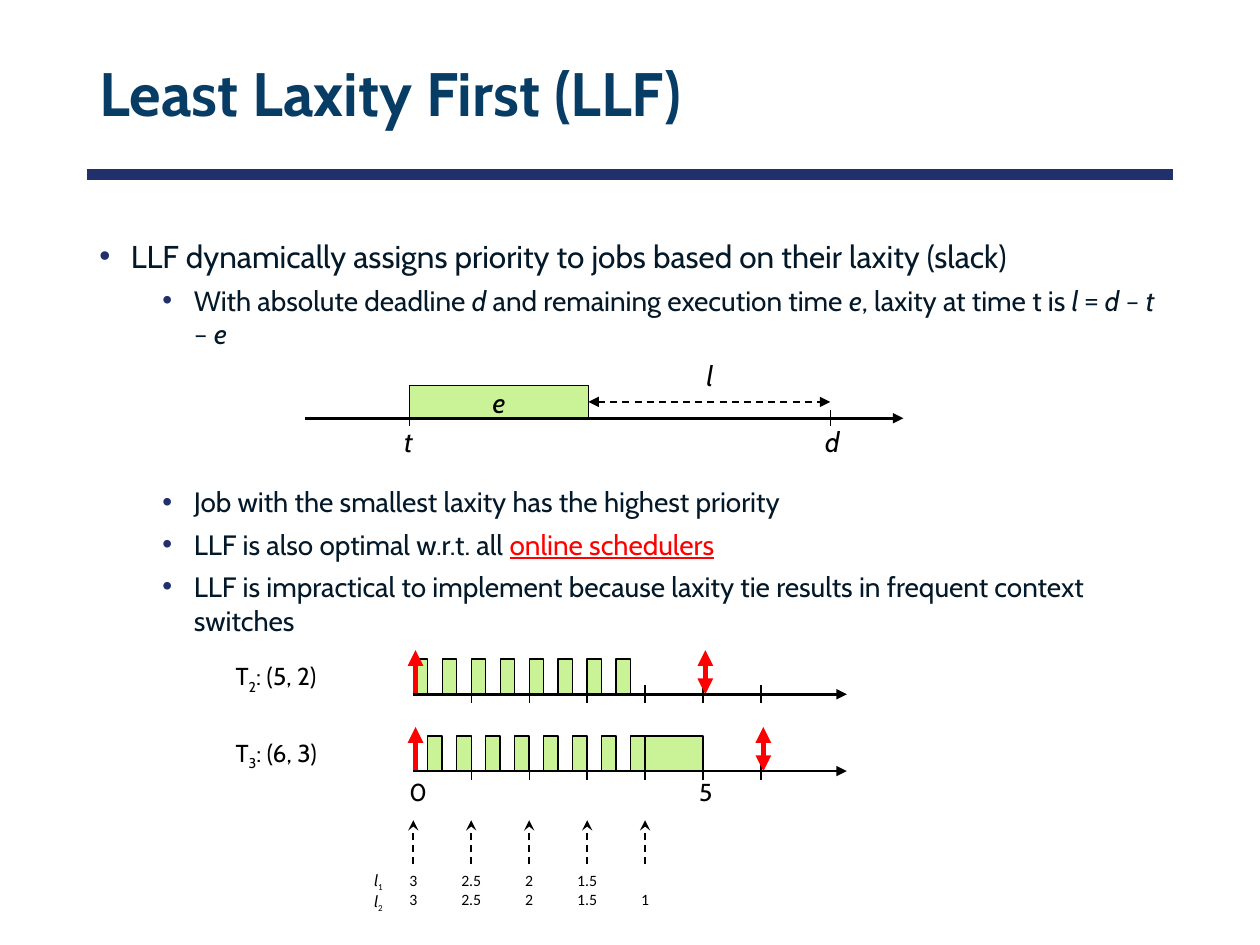
from dataclasses import dataclass

from lxml import etree
from pptx import Presentation
from pptx import util as u
from pptx.dml.color import RGBColor
from pptx.enum import dml, shapes, text
from pptx.oxml import ns


@dataclass(frozen=True)
class Theme:
    """Colours, fonts and type sizes of the slide."""

    ink: str = "000000"
    body: str = "031828"
    title: str = "073C65"
    rule: str = "21306A"
    job: str = "CAF297"
    alert: str = "FF0000"
    face: str = "Cabin"
    digits: str = "Calibri"
    heading: int = 35
    point: int = 18
    detail: int = 16
    task: int = 14
    value: int = 9


THEME = Theme()


@dataclass(frozen=True)
class Grid:
    """An origin in inches with a column width and a row height."""

    left: float
    top: float
    col: float
    row: float

    def point(self, col, row):
        """Return the slide position of a grid point."""
        return u.Inches(self.left + col * self.col), u.Inches(self.top + row * self.row)

    def rect(self, col, row, cols, rows):
        """Return position and size of a block of cells."""
        return *self.point(col, row), u.Inches(cols * self.col), u.Inches(rows * self.row)


def rgb(value):
    """Turn a hex string into a colour."""
    return RGBColor.from_string(value)


def child(parent, tag, **attributes):
    """Append a DrawingML element."""
    return etree.SubElement(parent, ns.qn(f"a:{tag}"), attributes)


def write(paragraph, runs, size, color=THEME.ink, face=THEME.face, bold=None):
    """Fill a paragraph with runs marked i (italic), n (digits face), s (subscript) or u (alert)."""
    font = paragraph.font
    font.size, font.name, font.bold = u.Pt(size), face, bold
    font.color.rgb = rgb(color)
    for words, marks in [(runs, "")] if isinstance(runs, str) else runs:
        run = paragraph.add_run()
        run.text = words
        if "i" in marks:
            run.font.italic = True
        if "n" in marks:
            run.font.name = THEME.digits
        if "s" in marks:
            run.font._element.set("baseline", "-25000")
        if "u" in marks:
            run.font.underline = True
            run.font.color.rgb = rgb(THEME.alert)


def label(slide, box, lines, size, align=None, anchor=text.MSO_ANCHOR.TOP, wrap=False, **style):
    """Place a text box with one paragraph per line."""
    frame = slide.shapes.add_textbox(*box).text_frame
    frame.word_wrap, frame.vertical_anchor = wrap, anchor
    for index, runs in enumerate(lines):
        paragraph = frame.paragraphs[0] if index == 0 else frame.add_paragraph()
        paragraph.alignment = align
        write(paragraph, runs, size, **style)
    return frame


def stroke(slide, start, end, width, color=THEME.ink, dashed=False, head=None, tail=None):
    """Draw a straight line with optional arrowheads."""
    line = slide.shapes.add_connector(shapes.MSO_CONNECTOR.STRAIGHT, *start, *end)
    line.line.width, line.line.color.rgb = u.Pt(width), rgb(color)
    if dashed:
        line.line.dash_style = dml.MSO_LINE.DASH
    properties = line._element.spPr
    outline = properties.find(ns.qn("a:ln"))
    for tag, kind in (("headEnd", head), ("tailEnd", tail)):
        if kind:
            child(outline, tag, type=kind)
    child(properties, "effectLst")
    return line


def job(slide, box):
    """Draw a block of execution time."""
    block = slide.shapes.add_shape(shapes.MSO_SHAPE.RECTANGLE, *box)
    block.shadow.inherit = False
    block.fill.solid()
    block.fill.fore_color.rgb = rgb(THEME.job)
    block.line.color.rgb, block.line.width = rgb(THEME.ink), u.Pt(0.75)
    return block


def header(slide, grid, heading):
    """Place the title and the rule below it."""
    frame = label(slide, grid.rect(0, 0, 1, 1), [heading], THEME.heading, wrap=True,
                  anchor=text.MSO_ANCHOR.MIDDLE, color=THEME.title, bold=True)
    frame.paragraphs[0].line_spacing = 0.9
    stroke(slide, grid.point(0, 1.07), grid.point(1, 1.07), 6, THEME.rule)


def bullets(slide, grid, points):
    """Place bulleted points given as level and runs."""
    frame = slide.shapes.add_textbox(*grid.rect(0, 0, 1, 1)).text_frame
    frame.word_wrap = True
    for index, (level, runs) in enumerate(points):
        paragraph = frame.paragraphs[0] if index == 0 else frame.add_paragraph()
        paragraph.level = level
        if index:
            paragraph.space_before = u.Pt(5)
        properties = paragraph._p.get_or_add_pPr()
        properties.set("marL", str(u.Inches(0.25 + 0.5 * level)))
        properties.set("indent", str(u.Inches(-0.25)))
        child(child(properties, "buClr"), "srgbClr", val=THEME.rule)
        child(properties, "buFont", typeface="Arial")
        child(properties, "buChar", char="•")
        write(paragraph, runs, THEME.detail if level else THEME.point, THEME.body)


def laxity_diagram(slide, grid):
    """Show execution time and laxity on an axis whose origin is time t."""
    execution, deadline = 14.2, 33.4
    block = job(slide, grid.rect(0, -2, execution, 2))
    block.text_frame.word_wrap = False
    block.text_frame.vertical_anchor = text.MSO_ANCHOR.MIDDLE
    block.text_frame.paragraphs[0].alignment = text.PP_ALIGN.CENTER
    write(block.text_frame.paragraphs[0], [("e", "i")], THEME.detail)
    stroke(slide, grid.point(-8.3, 0), grid.point(39.2, 0), 1.5, tail="triangle")
    for name, time in (("t", 0), ("d", deadline)):
        stroke(slide, grid.point(time, -0.5), grid.point(time, 0.5), 0.75)
        label(slide, grid.rect(time - 1.4, 0, 6.7, 2.4), [[(name, "i")]], THEME.detail, wrap=True)
    slack = stroke(slide, grid.point(execution, -1), grid.point(deadline, -1), 1,
                   dashed=True, head="triangle", tail="triangle")
    slack.begin_connect(block, 3)
    label(slide, grid.rect(20.5, -4, 6.7, 2.8), [[("l", "i")]], THEME.detail,
          text.PP_ALIGN.CENTER, wrap=True)


def task_track(slide, grid, number, period, cost, slices):
    """Draw the schedule of one task from its slices of start and length."""
    label(slide, grid.rect(-3.28, -4.43, 2.46, 4.86),
          [[("T", ""), (str(number), "s"), (f": ({period}, {cost})", "")]], THEME.task)
    for start, length in slices:
        job(slide, grid.rect(start, -4, length, 4))
    for time in range(1, 7):
        stroke(slide, grid.point(time, -1), grid.point(time, 1), 0.75)
    for time, head in ((0, None), (period, "triangle")):
        stroke(slide, grid.point(time + 0.04, 0), grid.point(time + 0.04, -5), 3,
               THEME.alert, head=head, tail="triangle")
    stroke(slide, grid.point(0, 0), grid.point(7.48, 0), 1.5, tail="triangle")


def time_labels(slide, grid, times):
    """Number the time axis."""
    for time in times:
        label(slide, grid.rect(time - 0.28, 0, 1.2, 4.86), [str(time)], THEME.task, wrap=True)


def laxity_values(slide, grid, columns):
    """List the laxities of both tasks below an arrow for each time."""
    label(slide, grid.rect(-0.9, 1, 0.6, 1.14), [[("l", "i"), (n, "ns")] for n in "12"],
          THEME.value, text.PP_ALIGN.CENTER)
    for time, values in enumerate(columns):
        stroke(slide, grid.point(time, 1), grid.point(time, 0), 1, dashed=True, tail="stealth")
        label(slide, grid.rect(time - 0.4, 1, 0.8, 1.14), values, THEME.value,
              text.PP_ALIGN.CENTER, text.MSO_ANCHOR.BOTTOM, face=THEME.digits)


def main():
    """Build the slide and save it."""
    deck = Presentation()
    deck.slide_width, deck.slide_height = u.Inches(10), u.Inches(7.5)
    slide = deck.slides.add_slide(deck.slide_layouts[6])
    header(slide, Grid(0.69, 0.23, 8.62, 1.08), "Least Laxity First (LLF)")
    bullets(slide, Grid(0.69, 1.83, 8.62, 1.1), [
        (0, "LLF dynamically assigns priority to jobs based on their laxity (slack)"),
        (1, [("With absolute deadline", ""), (" d ", "i"), ("and remaining execution time ", ""),
             ("e", "i"), (", laxity at time t is ", ""), ("l ", "i"), ("= ", "n"), ("d ", "i"),
             ("– ", "n"), ("t ", "i"), ("– ", "n"), ("e", "i")])])
    bullets(slide, Grid(0.69, 3.8, 8.62, 1.4), [
        (1, "Job with the smallest laxity has the highest priority"),
        (1, [("LLF is also optimal w.r.t. all ", ""), ("online schedulers", "u")]),
        (1, "LLF is impractical to implement because laxity tie results in frequent "
            "context switches")])
    laxity_diagram(slide, Grid(3.25, 3.32, 0.1, 0.13))
    second, third = (Grid(3.28, top, 0.46, 0.07) for top in (5.51, 6.12))
    turns = [turn / 2 for turn in range(8)]
    task_track(slide, second, 2, 5, 2, [(turn, 0.25) for turn in turns])
    task_track(slide, third, 3, 6, 3, [(turn + 0.25, 0.25) for turn in turns] + [(4, 1)])
    time_labels(slide, third, (0, 5))
    laxity_values(slide, Grid(3.28, 6.51, 0.46, 0.35),
                  [[value] * 2 for value in ("3", "2.5", "2", "1.5")] + [["1"]])
    deck.save("out.pptx")


if __name__ == "__main__":
    main()
